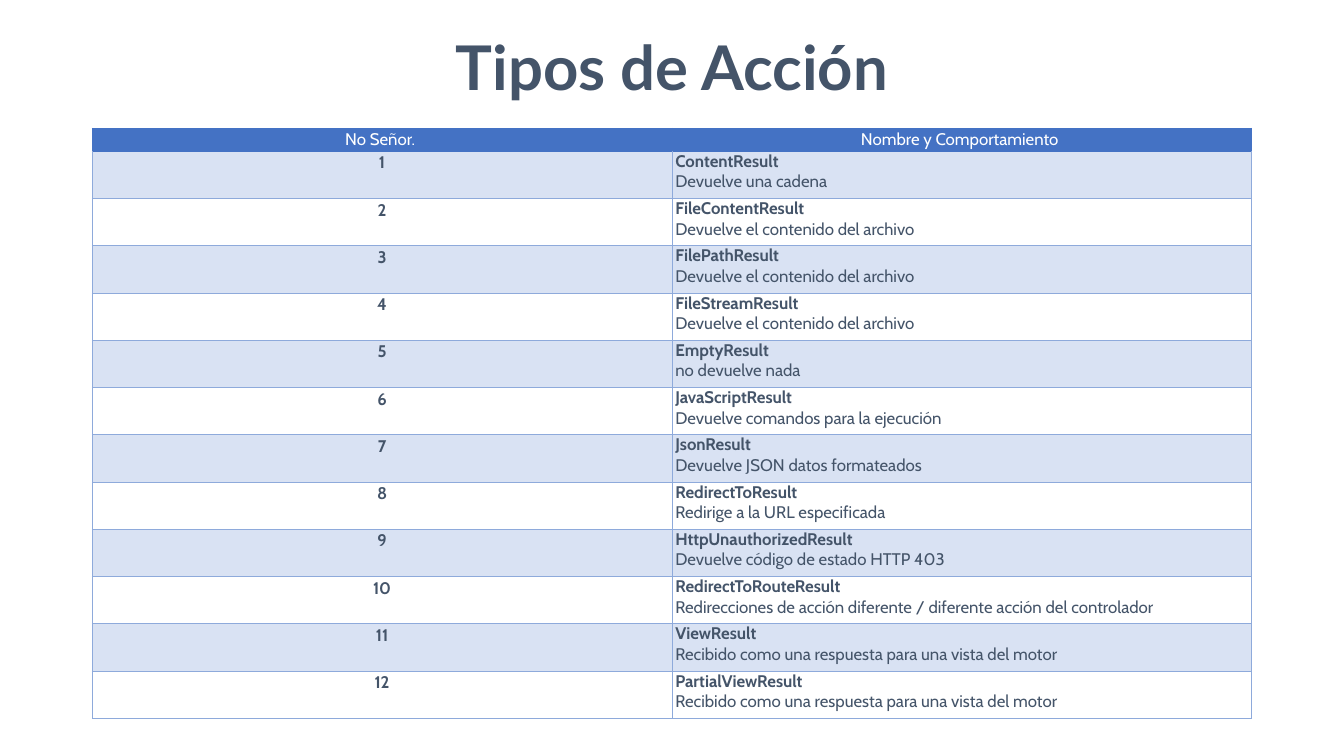
import lxml.etree
import pptx
import pptx.dml.color
import pptx.enum.text
import pptx.oxml.ns
import pptx.util

Pt = pptx.util.Pt
RGBColor = pptx.dml.color.RGBColor
CENTER = pptx.enum.text.PP_ALIGN.CENTER
LEFT = pptx.enum.text.PP_ALIGN.LEFT
TOP = pptx.enum.text.MSO_ANCHOR.TOP
NO_FIT = pptx.enum.text.MSO_AUTO_SIZE.NONE

SLATE = RGBColor(0x44, 0x54, 0x69)
WHITE = RGBColor(0xFF, 0xFF, 0xFF)
BLUE = RGBColor(0x44, 0x72, 0xC4)
PALE_BLUE = RGBColor(0xD9, 0xE2, 0xF3)
GRID_BLUE = RGBColor(0x8E, 0xAA, 0xDB)

SLIDE_WIDTH = 1919.52
SLIDE_HEIGHT = 1080
TABLE_LEFT = 131.8
TABLE_TOP = 183
COLUMN_WIDTH = 827.7
HEADER_HEIGHT = 33.1
ROW_HEIGHT = 67.5

HEADINGS = ["No Señor. ", "Nombre y Comportamiento "]
RESULTS = [
    ("ContentResult", "Devuelve una cadena"),
    ("FileContentResult", "Devuelve el contenido del archivo"),
    ("FilePathResult", "Devuelve el contenido del archivo"),
    ("FileStreamResult", "Devuelve el contenido del archivo"),
    ("EmptyResult", "no devuelve nada"),
    ("JavaScriptResult", "Devuelve comandos para la ejecución"),
    ("JsonResult", "Devuelve JSON datos formateados"),
    ("RedirectToResult", "Redirige a la URL especificada"),
    ("HttpUnauthorizedResult", "Devuelve código de estado HTTP 403"),
    ("RedirectToRouteResult",
     "Redirecciones de acción diferente / diferente acción del controlador"),
    ("ViewResult", "Recibido como una respuesta para una vista del motor"),
    ("PartialViewResult", "Recibido como una respuesta para una vista del motor"),
]


def apply(target, values):
    for name, value in values.items():
        setattr(target, name, value)


class SlideBuilder:
    title_font = {"name": "Lato", "size": Pt(88), "bold": True}
    cell_font = {"name": "Cabin", "size": Pt(24)}
    title_frame = {"margin_left": Pt(7.2), "margin_right": Pt(7.2),
                   "margin_top": Pt(3.6), "margin_bottom": Pt(3.6),
                   "vertical_anchor": TOP, "word_wrap": True, "auto_size": NO_FIT}
    cell_frame = {"margin_left": Pt(5.04), "margin_right": Pt(5.04),
                  "margin_top": 0, "margin_bottom": 0, "vertical_anchor": TOP}
    centered = {"alignment": CENTER, "line_spacing": 1.07}
    flush_left = {"alignment": LEFT}

    def __init__(self, deck):
        self.page = deck.slides.add_slide(deck.slide_layouts[5])

    def span(self, para, text, font, color):
        span = para.add_run()
        span.text = text
        apply(span.font, font)
        span.font.color.rgb = color

    def title(self, text, left, top, width, height):
        box = self.page.shapes.title
        apply(box, {"left": Pt(left), "top": Pt(top),
                    "width": Pt(width), "height": Pt(height)})
        apply(box.text_frame, self.title_frame)
        para = box.text_frame.paragraphs[0]
        para.alignment = CENTER
        self.span(para, text, self.title_font, SLATE)

    def table(self, left, top, column_widths, row_heights):
        table = self.page.shapes.add_table(
            len(row_heights), len(column_widths), Pt(left), Pt(top),
            Pt(sum(column_widths)), Pt(sum(row_heights))).table
        apply(table, {"first_row": False, "horz_banding": False})
        for column, width in zip(table.columns, column_widths):
            column.width = Pt(width)
        for row, height in zip(table.rows, row_heights):
            row.height = Pt(height)
        return table

    def borders(self, cell, colors):
        properties = cell._tc.get_or_add_tcPr()
        for side, color in zip("LRTB", colors):
            line = lxml.etree.SubElement(
                properties, pptx.oxml.ns.qn(f"a:ln{side}"), w=str(Pt(1)))
            fill = lxml.etree.SubElement(line, pptx.oxml.ns.qn("a:solidFill"))
            lxml.etree.SubElement(
                fill, pptx.oxml.ns.qn("a:srgbClr"), val=str(color))

    def cell(self, cell, lines, layout, color, fill, border_colors):
        self.borders(cell, border_colors)
        if fill is None:
            cell.fill.background()
        else:
            cell.fill.solid()
            cell.fill.fore_color.rgb = fill
        apply(cell, self.cell_frame)
        frame = cell.text_frame
        for index, (text, bold) in enumerate(lines):
            para = frame.add_paragraph() if index else frame.paragraphs[0]
            apply(para, layout)
            self.span(para, text, {**self.cell_font, "bold": bold}, color)


def main():
    deck = pptx.Presentation()
    apply(deck, {"slide_width": Pt(SLIDE_WIDTH), "slide_height": Pt(SLIDE_HEIGHT)})
    builder = SlideBuilder(deck)
    builder.title("Tipos de Acción", 0, 38.2, SLIDE_WIDTH, 113.8)

    table = builder.table(TABLE_LEFT, TABLE_TOP, [COLUMN_WIDTH] * 2,
                          [HEADER_HEIGHT] + [ROW_HEIGHT] * len(RESULTS))
    for column, heading in enumerate(HEADINGS):
        builder.cell(table.cell(0, column), [(heading, False)], builder.centered,
                     WHITE, BLUE, [BLUE] * 4)
    for number, (name, behavior) in enumerate(RESULTS, start=1):
        fill = PALE_BLUE if number % 2 else None
        top_color = BLUE if number == 1 else GRID_BLUE
        border_colors = [GRID_BLUE, GRID_BLUE, top_color, GRID_BLUE]
        builder.cell(table.cell(number, 0), [(str(number), True)],
                     builder.centered, SLATE, fill, border_colors)
        builder.cell(table.cell(number, 1), [(name, True), (behavior, False)],
                     builder.flush_left, SLATE, fill, border_colors)
    deck.save("out.pptx")


if __name__ == "__main__":
    main()
